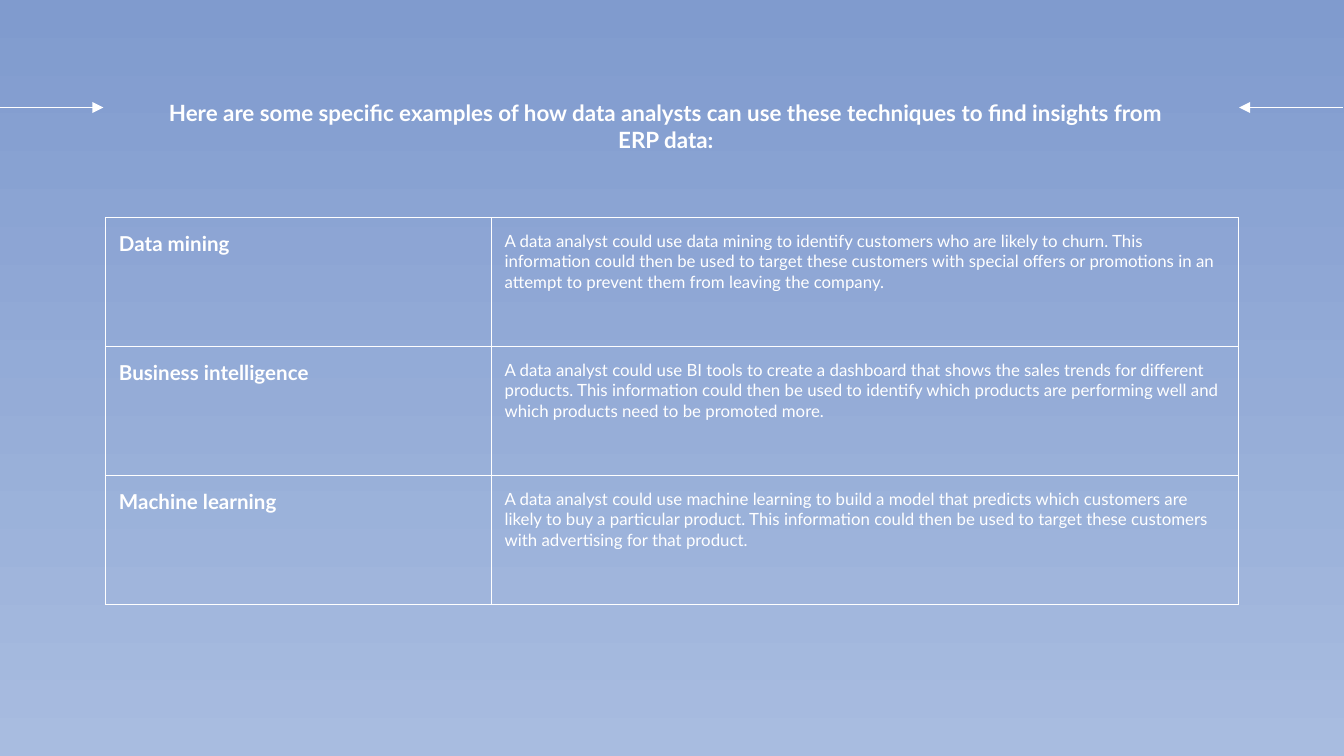
from typing import NamedTuple

from lxml.etree import SubElement
from pptx import Presentation
from pptx.dml.color import RGBColor
from pptx.enum.shapes import MSO_CONNECTOR
from pptx.enum.text import PP_ALIGN
from pptx.oxml import parse_xml
from pptx.oxml.ns import nsdecls, qn
from pptx.util import Inches, Pt

PAGE_WIDTH = 10
PAGE_HEIGHT = PAGE_WIDTH * 9 / 16
WHITE = "FFFFFF"
LINE_WIDTH = Pt(0.75)
MARGIN = Inches(0.1)
ARROW_TOP = 0.8
COLUMN_WIDTHS = (2.87, 5.56)
ROW_HEIGHT = 0.96

TITLE = ("Here are some specific examples of how data analysts can use these "
         "techniques to find insights from ERP data:")


class Technique(NamedTuple):
    name: str
    example: str


class Arrow(NamedTuple):
    start: float
    tip: float


TECHNIQUES = (
    Technique(
        "Data mining",
        "A data analyst could use data mining to identify customers who are likely "
        "to churn. This information could then be used to target these customers "
        "with special offers or promotions in an attempt to prevent them from "
        "leaving the company."),
    Technique(
        "Business intelligence",
        "A data analyst could use BI tools to create a dashboard that shows the "
        "sales trends for different products. This information could then be used "
        "to identify which products are performing well and which products need to "
        "be promoted more."),
    Technique(
        "Machine learning",
        "A data analyst could use machine learning to build a model that predicts "
        "which customers are likely to buy a particular product. This information "
        "could then be used to target these customers with advertising for that "
        "product."),
)
ARROWS = (Arrow(0, 0.77), Arrow(9.99, 9.22))


def color(value: str) -> RGBColor:
    return RGBColor.from_string(value)


def set_values(target, values: dict) -> None:
    for name, value in values.items():
        setattr(target, name, value)


def write_text(frame, text: str, size: float, bold: bool, **paragraph_format) -> None:
    para = frame.paragraphs[0]
    set_values(para, paragraph_format)
    span = para.add_run()
    span.text = text
    set_values(span.font, {"name": "Lato", "size": Pt(size), "bold": bold})
    span.font.color.rgb = color(WHITE)


def paint_background(page, top: str, bottom: str) -> None:
    fill = page.background.fill
    fill.gradient()
    fill.gradient_angle = 270
    for stop, value, position in zip(fill.gradient_stops, (top, bottom), (0, 1)):
        stop.color.rgb = color(value)
        stop.position = position


def draw_arrow(page, arrow: Arrow) -> None:
    connector = page.shapes.add_connector(
        MSO_CONNECTOR.STRAIGHT, Inches(arrow.start), Inches(ARROW_TOP),
        Inches(arrow.tip), Inches(ARROW_TOP))
    connector.line.width = LINE_WIDTH
    connector.line.color.rgb = color(WHITE)
    SubElement(connector.line._get_or_add_ln(), qn("a:tailEnd"), type="triangle")
    SubElement(connector._element.spPr, qn("a:effectLst"))


def draw_borders(cell) -> None:
    properties = cell._tc.get_or_add_tcPr()
    for side in ("lnL", "lnR", "lnT", "lnB"):
        properties.append(parse_xml(
            f'<a:{side} {nsdecls("a")} w="{int(LINE_WIDTH)}"><a:solidFill>'
            f'<a:srgbClr val="{WHITE}"/></a:solidFill></a:{side}>'))


def fill_cell(cell, text: str, size: float, bold: bool, **paragraph_format) -> None:
    set_values(cell, {f"margin_{side}": MARGIN
                      for side in ("left", "right", "top", "bottom")})
    draw_borders(cell)
    cell.fill.background()
    write_text(cell.text_frame, text, size, bold, **paragraph_format)


def draw_table(page, techniques: tuple[Technique, ...]) -> None:
    """Draw one row per technique, centred across the page."""
    width = sum(COLUMN_WIDTHS)
    table = page.shapes.add_table(
        len(techniques), len(COLUMN_WIDTHS), Inches((PAGE_WIDTH - width) / 2),
        Inches(1.62), Inches(width), Inches(ROW_HEIGHT * len(techniques))).table
    set_values(table, {"first_row": False, "horz_banding": False})
    for column, column_width in zip(table.columns, COLUMN_WIDTHS):
        column.width = Inches(column_width)
    for row, technique in zip(table.rows, techniques):
        row.height = Inches(ROW_HEIGHT)
        name_cell, example_cell = row.cells
        fill_cell(name_cell, technique.name, 11, True)
        fill_cell(example_cell, technique.example, 9, False, space_after=Pt(16))


def draw_title(page) -> None:
    box = page.shapes.add_textbox(Inches(1.01), Inches(0.64), Inches(7.79), Inches(0.83))
    frame = box.text_frame
    set_values(frame, {"word_wrap": True, "margin_left": MARGIN, "margin_right": 0,
                       "margin_top": MARGIN, "margin_bottom": MARGIN})
    write_text(frame, TITLE, 12, True, alignment=PP_ALIGN.CENTER)


def main() -> None:
    deck = Presentation()
    deck.slide_width, deck.slide_height = Inches(PAGE_WIDTH), Inches(PAGE_HEIGHT)
    page = deck.slides.add_slide(deck.slide_layouts[6])
    paint_background(page, "809BCE", "A8BCE0")
    for arrow in ARROWS:
        draw_arrow(page, arrow)
    draw_table(page, TECHNIQUES)
    draw_title(page)
    deck.save("out.pptx")


if __name__ == "__main__":
    main()
